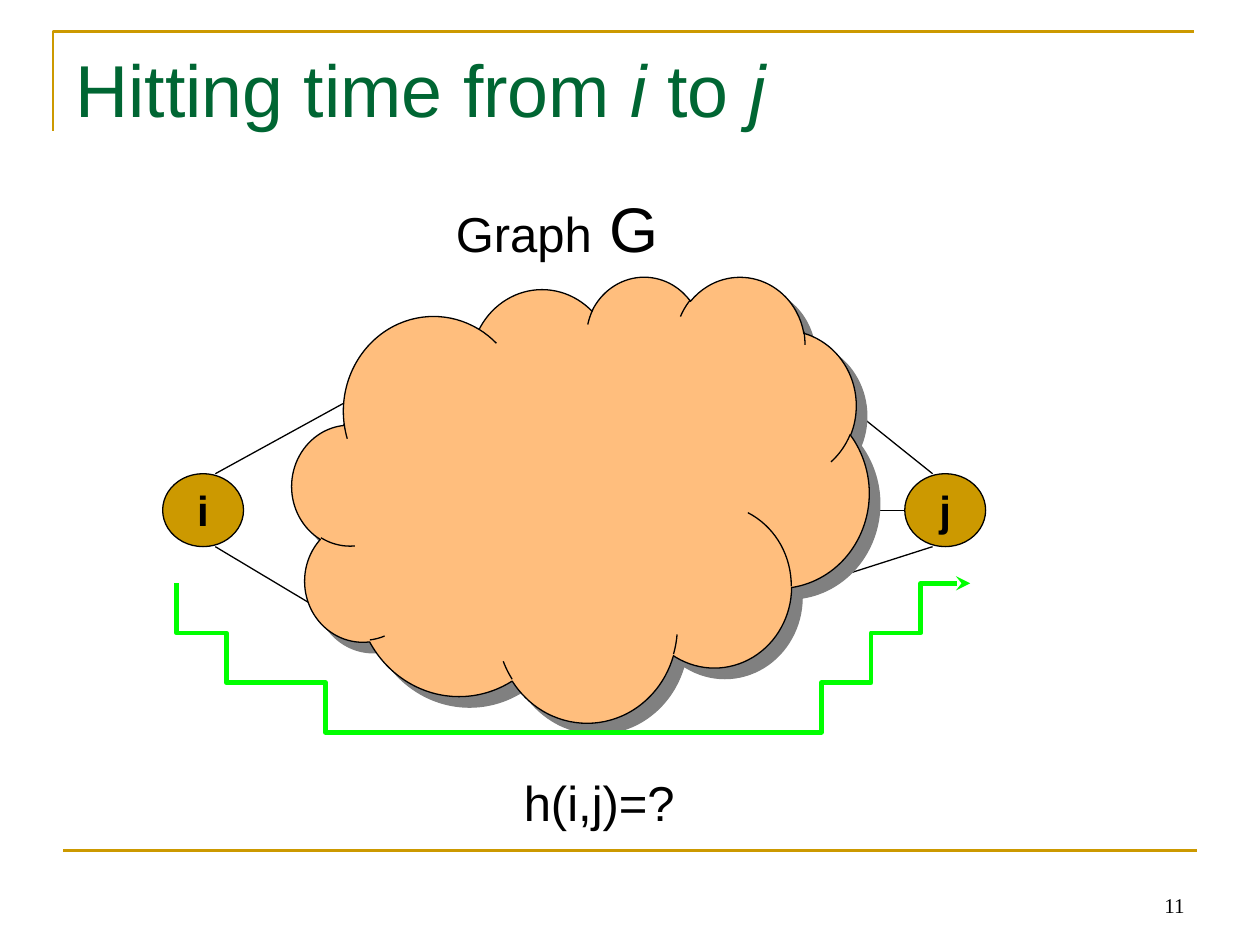
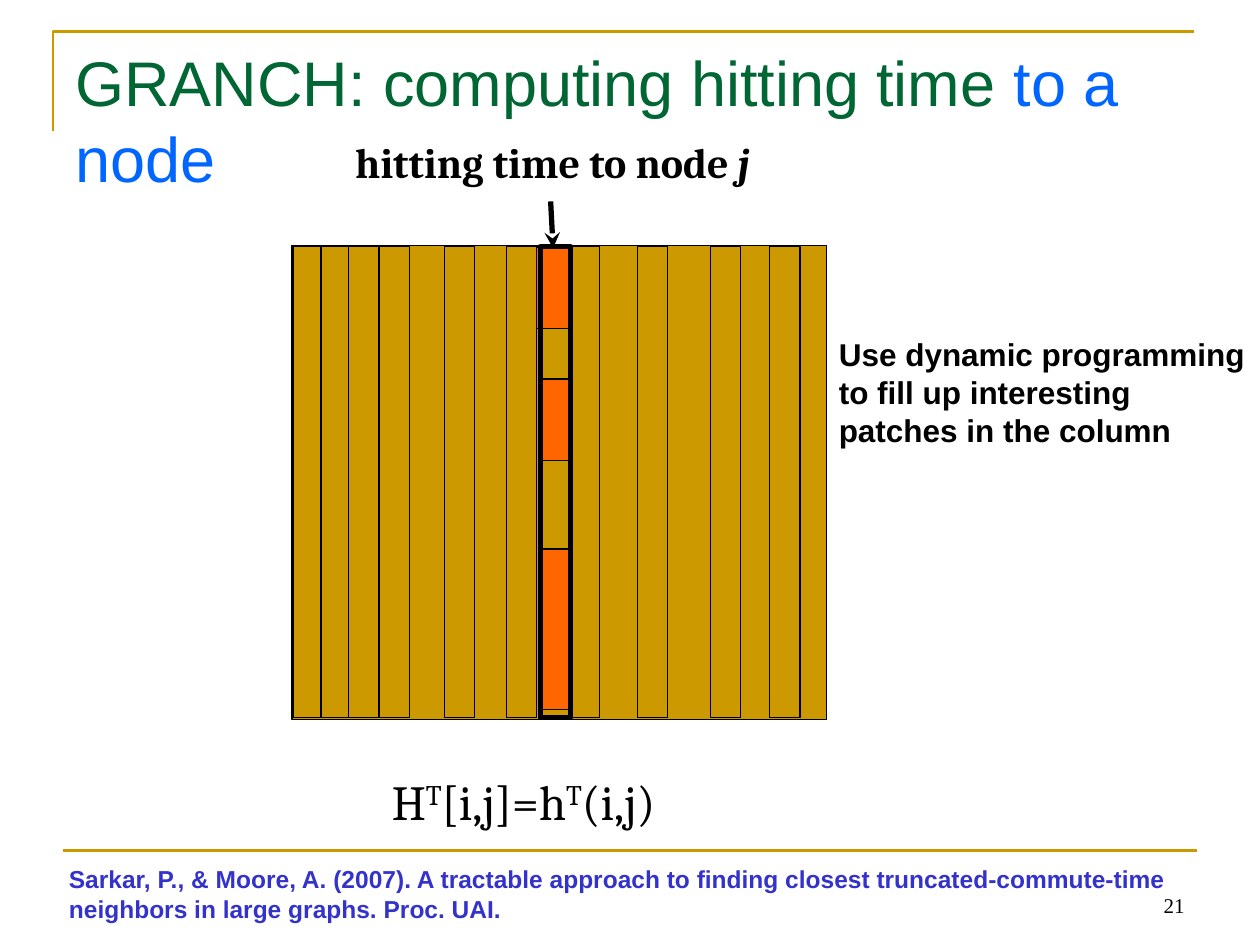
from lxml import etree
from pptx import Presentation
from pptx.dml.color import RGBColor
from pptx.enum.shapes import MSO_CONNECTOR, MSO_SHAPE
from pptx.enum.text import MSO_ANCHOR, PP_ALIGN
from pptx.oxml.ns import qn
from pptx.util import Cm, Pt

STRAIGHT = MSO_CONNECTOR.STRAIGHT
RECTANGLE, OVAL, CLOUD = MSO_SHAPE.RECTANGLE, MSO_SHAPE.OVAL, MSO_SHAPE.CLOUD
TOP, MIDDLE, BOTTOM = MSO_ANCHOR.TOP, MSO_ANCHOR.MIDDLE, MSO_ANCHOR.BOTTOM
LEFT, CENTER, RIGHT = PP_ALIGN.LEFT, PP_ALIGN.CENTER, PP_ALIGN.RIGHT

COLORS = {
    "gold": "CC9900",
    "green": "006633",
    "blue": "0066FF",
    "citation": "3333CC",
    "black": "000000",
    "peach": "FFBE7D",
    "shadow": "808080",
    "path": "00FF00",
    "patch": "FF6600",
}
BODY_FONT, MATH_FONT, NUMBER_FONT = "Arial", "Cambria", "Times New Roman"

# All boxes are (left, top, width, height) in centimetres
TITLE_BOX = (1.27, 0.76, 22.86, 3.18)
NUMBER_BOX = (18.21, 17.35, 5.92, 1.27)
GRAPH_BOX = (3.28, 5.56, 16.59, 9.65)
MATRIX_BOX = (5.89, 4.95, 10.77, 9.55)

# Walk from i to j: a start point, then cubic curves of three points each
WALK_START = (0, 0.36)
WALK_CURVES = [
    ((0.1, 0.51), (0.2, 0.69), (0.33, 0.79)),
    ((0.48, 0.89), (0.79, 1.07), (0.79, 1.07)),
    ((1.04, 1.37), (0.76, 1.09), (1.14, 1.32)),
    ((1.19, 1.35), (1.22, 1.4), (1.27, 1.42)),
    ((1.35, 1.47), (1.45, 1.5), (1.52, 1.55)),
    ((2.01, 1.83), (2.54, 2.29), (3.07, 2.41)),
    ((3.3, 2.57), (3.25, 2.57), (3.45, 2.62)),
    ((3.56, 2.64), (3.78, 2.69), (3.78, 2.69)),
    ((4.04, 2.82), (4.39, 2.9), (4.67, 2.95)),
    ((4.85, 2.97), (5.21, 3.02), (5.21, 3.02)),
    ((5.79, 3.02), (10.67, 3.45), (12.62, 2.54)),
    ((13.16, 2.29), (13.61, 1.96), (14.1, 1.63)),
    ((14.17, 1.4), (14.1, 1.55), (14.43, 1.22)),
    ((14.58, 1.07), (14.73, 0.86), (14.91, 0.74)),
    ((15.11, 0.46), (15.47, 0.3), (15.62, 0)),
]


def rgb(name):
    return RGBColor.from_string(COLORS[name])


def set_line(shape, color, width, arrow=False):
    shape.line.color.rgb = rgb(color)
    shape.line.width = Pt(width)
    if arrow:
        line = shape.line._get_or_add_ln()
        etree.SubElement(line, qn("a:tailEnd"), type="stealth")


def write_text(shape, runs, size, font=BODY_FONT, color="black", bold=False,
               align=LEFT, anchor=TOP, wrap=True):
    """Each run is (text, changes); changes may hold color, size, italic, raised."""
    frame = shape.text_frame
    frame.word_wrap = wrap
    frame.vertical_anchor = anchor
    paragraph = frame.paragraphs[0]
    paragraph.alignment = align
    for text, changes in runs:
        if text == "\n":
            paragraph.add_line_break()
            continue
        run = paragraph.add_run()
        run.text = text
        run.font.name = font
        run.font.size = Pt(changes.get("size", size))
        run.font.bold = bold
        run.font.italic = changes.get("italic", False)
        run.font.color.rgb = rgb(changes.get("color", color))
        if changes.get("raised"):
            run.font._element.set("baseline", "30000")


def add_text(slide, box, runs, size, **style):
    text_box = slide.shapes.add_textbox(*map(Cm, box))
    write_text(text_box, runs, size, **style)


def add_shape(slide, kind, box, fill=None, line_width=0.75):
    shape = slide.shapes.add_shape(kind, *map(Cm, box))
    shape.shadow.inherit = False
    if fill:
        shape.fill.solid()
        shape.fill.fore_color.rgb = rgb(fill)
    else:
        shape.fill.background()
    set_line(shape, "black", line_width)
    return shape


def add_line(slide, start, end, color="black", width=0.75, arrow=False):
    connector = slide.shapes.add_connector(STRAIGHT, *map(Cm, (*start, *end)))
    etree.SubElement(connector._element.spPr, qn("a:effectLst"))
    set_line(connector, color, width, arrow)


def add_open_path(slide, origin, points, color, width, arrow=False):
    builder = slide.shapes.build_freeform(*points[0], scale=Cm(1))
    builder.add_line_segments(points[1:], close=False)
    path = builder.convert_to_shape(*map(Cm, origin))
    path.shadow.inherit = False
    path.fill.background()
    set_line(path, color, width, arrow)


def curve_points(start, curves, steps=12):
    points = [start]
    for first, second, end in curves:
        corners = (points[-1], first, second, end)
        for step in range(1, steps + 1):
            t = step / steps
            weights = ((1 - t) ** 3, 3 * t * (1 - t) ** 2, 3 * t * t * (1 - t), t ** 3)
            points.append(tuple(
                sum(weight * corner[axis] for weight, corner in zip(weights, corners))
                for axis in (0, 1)))
    return points


def add_base_slide(presentation, title_runs, title_size, number):
    slide = presentation.slides.add_slide(presentation.slide_layouts[6])
    # Corner frame and footer rule
    add_open_path(slide, (1.07, 0.64), [(0, 1.7), (0, 0), (22.86, 0)], "gold", 1.5)
    add_line(slide, (1.27, 17.15), (24.13, 17.15), "gold", 1.5)
    # Title and slide number
    add_text(slide, TITLE_BOX, title_runs, title_size, color="green")
    add_text(slide, NUMBER_BOX, [(number, {})], 12, font=NUMBER_FONT,
             align=RIGHT, anchor=BOTTOM)
    return slide


def draw_graph(slide, box):
    left, top, width, height = box
    node_width, node_height = 1.63, 1.47
    node_top = top + 3.99
    node_bottom = node_top + node_height
    right = left + width

    # Edges that run behind the cloud
    edges = [
        ((1.06, node_top), (4.21, top + 2.26)),
        ((1.06, node_bottom), (3.4, top + 6.86)),
        ((13.36, top + 2.26), (15.52, node_top)),
        ((13.36, top + 4.73), (15.14, top + 4.73)),
        ((13.36, top + 6.15), (15.52, node_bottom)),
    ]
    for (start_x, start_y), (end_x, end_y) in edges:
        add_line(slide, (left + start_x, start_y), (left + end_x, end_y))

    # Cloud with a hard shadow
    cloud = add_shape(slide, CLOUD, (left + 2.61, top, 11.63, 8.99), "peach")
    effects = cloud._element.spPr.find(qn("a:effectLst"))
    shadow = etree.SubElement(effects, qn("a:outerShdw"), dist=str(Pt(8.5)),
                              dir="2700000", algn="ctr", rotWithShape="0")
    etree.SubElement(shadow, qn("a:srgbClr"), val=COLORS["shadow"])

    # End nodes
    for name, node_left in (("i", left), ("j", right - node_width)):
        node = add_shape(slide, OVAL, (node_left, node_top, node_width, node_height), "gold")
        write_text(node, [(name, {})], 24, bold=True, align=CENTER,
                   anchor=MIDDLE, wrap=False)

    # Walk from i to j
    add_open_path(slide, (left + 0.28, top + 6.2), curve_points(WALK_START, WALK_CURVES),
                  "path", 2.75, arrow=True)


def draw_matrix(slide, box):
    left, top, width, height = box
    column_width, column_height = 0.61, 9.5
    add_shape(slide, RECTANGLE, box, "gold")

    # Columns
    for offset in (0.03, 0.58, 1.14, 1.75, 3.07, 4.32, 5.59, 6.96, 8.43, 9.63):
        add_shape(slide, RECTANGLE,
                  (left + offset, top + 0.02, column_width, column_height), "gold")

    # Filled patches of column j
    column_left = left + 5
    column_right = column_left + column_width
    for patch_width, offset, patch_height in ((0.69, 0.03, 1.65), (0.63, 2.69, 1.65),
                                              (0.61, 6.12, 3.23)):
        add_shape(slide, RECTANGLE, (column_right - patch_width, top + offset,
                                     patch_width, patch_height), "patch")

    # Arrow and outline that single out column j
    add_line(slide, (left + 5.21, top - 0.89), (left + 5.26, top + 0.05),
             width=3, arrow=True)
    add_shape(slide, RECTANGLE, (column_left, top + 0.02, column_width, column_height),
              line_width=3)


def build_hitting_time_slide(presentation):
    italic = {"italic": True}
    title = [("Hitting time from ", {}), ("i ", italic), ("to ", {}), ("j", italic)]
    slide = add_base_slide(presentation, title, 42, "11")
    draw_graph(slide, GRAPH_BOX)
    add_text(slide, (8.94, 3.7, 6.2, 1.78), [("Graph", {}), (" G", {"size": 36})], 28)
    add_text(slide, (10.31, 15.44, 3.66, 1.45), [("h(i,j)=?", {})], 28)


def build_granch_slide(presentation):
    title = [("GRANCH: computing hitting time ", {}), ("to a node", {"color": "blue"})]
    slide = add_base_slide(presentation, title, 36, "21")
    draw_matrix(slide, MATRIX_BOX)

    # Labels around the matrix
    add_text(slide, (6.91, 2.62, 8.79, 2.29),
             [("hitting time to node ", {}), ("j", {"italic": True})],
             24, font=MATH_FONT, bold=True)
    add_text(slide, (16.66, 6.63, 8.74, 2.54),
             [("Use dynamic programming to fill up interesting patches in the column", {})],
             18, bold=True)
    raised = {"raised": True}
    add_text(slide, (7.65, 15.42, 6.32, 1.45),
             [("H", {}), ("T", raised), ("[i,j]=h", {}), ("T", raised), ("(i,j)", {})],
             28, font=MATH_FONT)

    # Citation
    add_text(slide, (1.14, 17.3, 22.99, 1.45),
             [("Sarkar, P., & Moore, A. (2007). A tractable approach to finding closest "
               "truncated-commute-time", {}),
              ("\n", {}),
              ("neighbors in large graphs. Proc. UAI.", {})],
             14, color="citation", bold=True)


def main():
    presentation = Presentation()
    presentation.slide_width = Cm(25.4)
    presentation.slide_height = Cm(19.05)
    build_hitting_time_slide(presentation)
    build_granch_slide(presentation)
    presentation.save("out.pptx")


if __name__ == "__main__":
    main()
